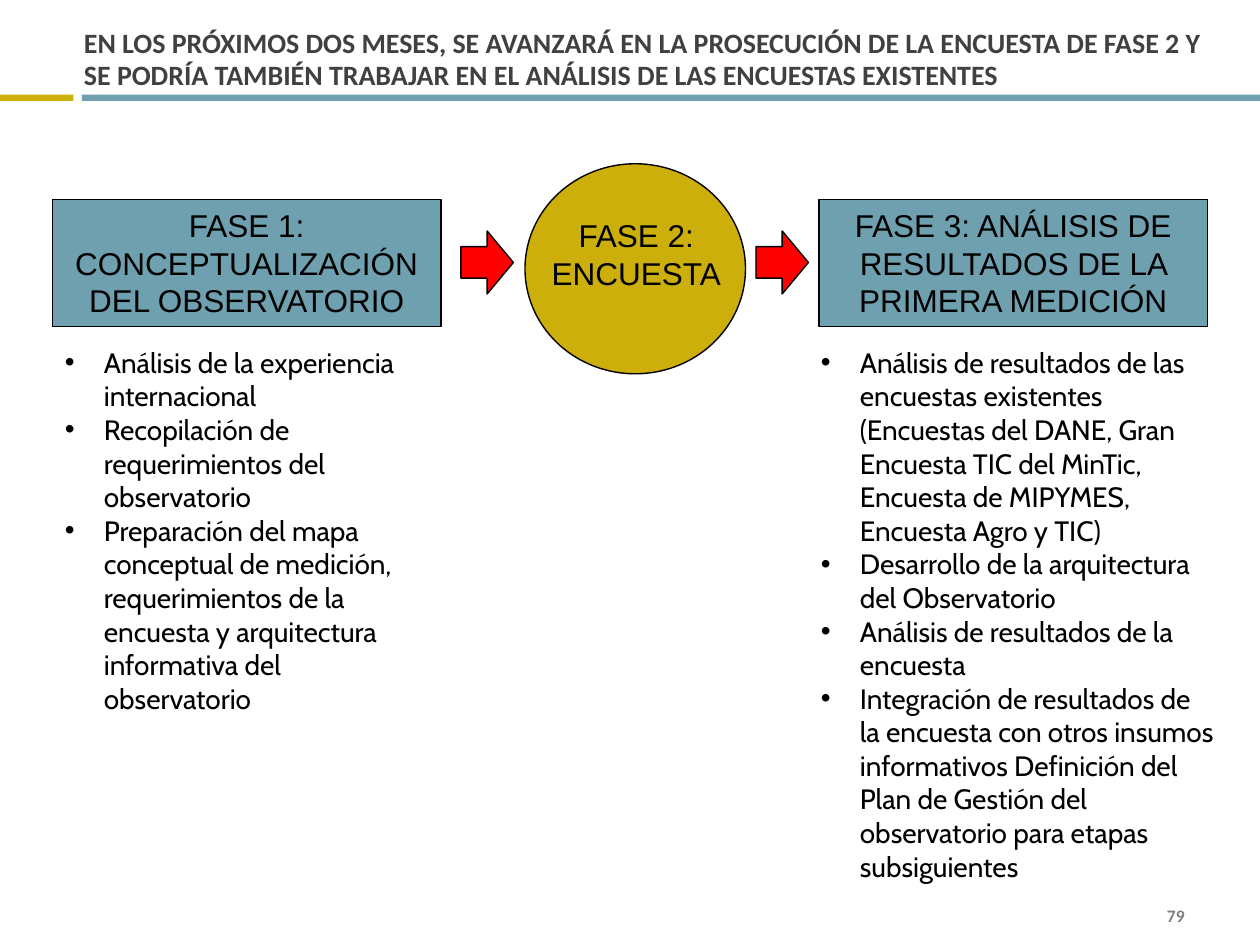
from lxml import etree
from pptx import Presentation
from pptx.dml.color import RGBColor
from pptx.enum.shapes import MSO_SHAPE
from pptx.enum.text import MSO_ANCHOR, PP_ALIGN
from pptx.oxml.ns import qn
from pptx.util import Inches, Pt

RECT, OVAL, ARROW = MSO_SHAPE.RECTANGLE, MSO_SHAPE.OVAL, MSO_SHAPE.RIGHT_ARROW
LEFT, MID, RIGHT = PP_ALIGN.LEFT, PP_ALIGN.CENTER, PP_ALIGN.RIGHT
TOP, CENTER, BOTTOM = MSO_ANCHOR.TOP, MSO_ANCHOR.MIDDLE, MSO_ANCHOR.BOTTOM

GOLD = RGBColor(0xCC, 0xAF, 0x0A)
TEAL = RGBColor(0x6E, 0xA0, 0xB0)
RED = RGBColor(0xFF, 0x00, 0x00)
BLACK = RGBColor(0x00, 0x00, 0x00)
DARK = RGBColor(0x40, 0x40, 0x40)
GRAY = RGBColor(0x7F, 0x7F, 0x7F)

# Grid of 120 columns by 90 rows
WIDTH, HEIGHT = Inches(10), Inches(7.5)
COL, ROW = WIDTH / 120, HEIGHT / 90

HEAD = {"name": "Calibri", "size": Pt(16), "bold": True}
PAGE = {"name": "Calibri", "size": Pt(10), "bold": True}
PHASE = {"name": "Arial", "size": Pt(18)}
BODY = {"name": "Cabin", "size": Pt(16)}

TITLE = ("EN LOS PRÓXIMOS DOS MESES, SE AVANZARÁ EN LA PROSECUCIÓN DE LA "
         "ENCUESTA DE FASE 2 Y SE PODRÍA TAMBIÉN TRABAJAR EN EL ANÁLISIS "
         "DE LAS ENCUESTAS EXISTENTES")

# Box column, list column, list width, heading, points
PHASES = [
    (5, 5, 37, "FASE 1: CONCEPTUALIZACIÓN DEL OBSERVATORIO", [
        "Análisis de la experiencia internacional",
        "Recopilación de requerimientos del observatorio",
        "Preparación del mapa conceptual de medición, requerimientos de la "
        "encuesta y arquitectura informativa del observatorio",
    ]),
    (78, 77, 40, "FASE 3: ANÁLISIS DE RESULTADOS DE LA PRIMERA MEDICIÓN", [
        "Análisis de resultados de las encuestas existentes (Encuestas del "
        "DANE, Gran Encuesta TIC del MinTic, Encuesta de MIPYMES, Encuesta "
        "Agro y TIC)",
        "Desarrollo de la arquitectura del Observatorio",
        "Análisis de resultados de la encuesta",
        "Integración de resultados de la encuesta con otros insumos "
        "informativos Definición del Plan de Gestión del observatorio para "
        "etapas subsiguientes",
    ]),
]


def place(col, row, wide, high):
    return [round(n) for n in (col * COL, row * ROW, wide * COL, high * ROW)]


def add_bullet(para):
    props = para._p.get_or_add_pPr()
    props.set("marL", str(Inches(0.31)))
    props.set("indent", str(Inches(-0.31)))
    font = etree.SubElement(props, qn("a:buFont"))
    font.set("typeface", "Arial")
    mark = etree.SubElement(props, qn("a:buChar"))
    mark.set("char", "•")


def write(shape, lines, style, color=BLACK, align=LEFT, anchor=TOP,
          wrap=True, bullet=False, lead=None):
    frame = shape.text_frame
    frame.word_wrap = wrap
    frame.vertical_anchor = anchor
    for i, line in enumerate(lines):
        para = frame.paragraphs[0] if i == 0 else frame.add_paragraph()
        if bullet:
            add_bullet(para)
        para.alignment = align
        if lead:
            para.line_spacing = lead
        run = para.add_run()
        run.text = line
        for key, value in style.items():
            setattr(run.font, key, value)
        run.font.color.rgb = color


def add_text(slide, spot, lines, style, **opts):
    box = slide.shapes.add_textbox(*place(*spot))
    write(box, lines, style, **opts)
    return box


def add_form(slide, kind, spot, fill, line=None):
    form = slide.shapes.add_shape(kind, *place(*spot))
    form.shadow.inherit = False
    form.fill.solid()
    form.fill.fore_color.rgb = fill
    if line:
        form.line.color.rgb = BLACK
        form.line.width = Pt(line)
    else:
        form.line.fill.background()
    return form


def add_frame(slide):
    # Page number, rule and title
    add_text(slide, (86, 86, 28, 2.4), ["79"], PAGE, color=GRAY,
             align=RIGHT, anchor=CENTER)
    add_form(slide, RECT, (0, 9, 7, 0.6), GOLD)
    add_form(slide, RECT, (7.8, 9, 112.2, 0.6), TEAL)
    title = add_text(slide, (8, 1, 108, 8), [TITLE], HEAD, color=DARK,
                     anchor=BOTTOM, lead=Pt(18))
    edges = {"left": 0, "top": 0.05, "right": 0, "bottom": 0.03}
    for side, gap in edges.items():
        setattr(title.text_frame, "margin_" + side, Inches(gap))


def add_phase(slide, col, start, wide, name, points):
    box = add_form(slide, RECT, (col, 19, 37, 12.1), TEAL, 0.75)
    write(box, [name], PHASE, align=MID)
    add_text(slide, (start, 32.3, wide, 46.4), points, BODY, bullet=True)


def main():
    deck = Presentation()
    deck.slide_width, deck.slide_height = WIDTH, HEIGHT
    slide = deck.slides.add_slide(deck.slide_layouts[6])
    add_frame(slide)

    # Outer phases with their lists
    for phase in PHASES:
        add_phase(slide, *phase)

    # Survey phase in the middle
    add_form(slide, OVAL, (50, 15.6, 21, 20), GOLD, 0.79)
    add_text(slide, (51.2, 20, 18.8, 8.5), ["FASE 2:", "ENCUESTA"], PHASE,
             align=MID, wrap=False)
    for col in (43.9, 72):
        add_form(slide, ARROW, (col, 22, 5, 6), RED, 0.79)

    deck.save("out.pptx")


if __name__ == "__main__":
    main()
